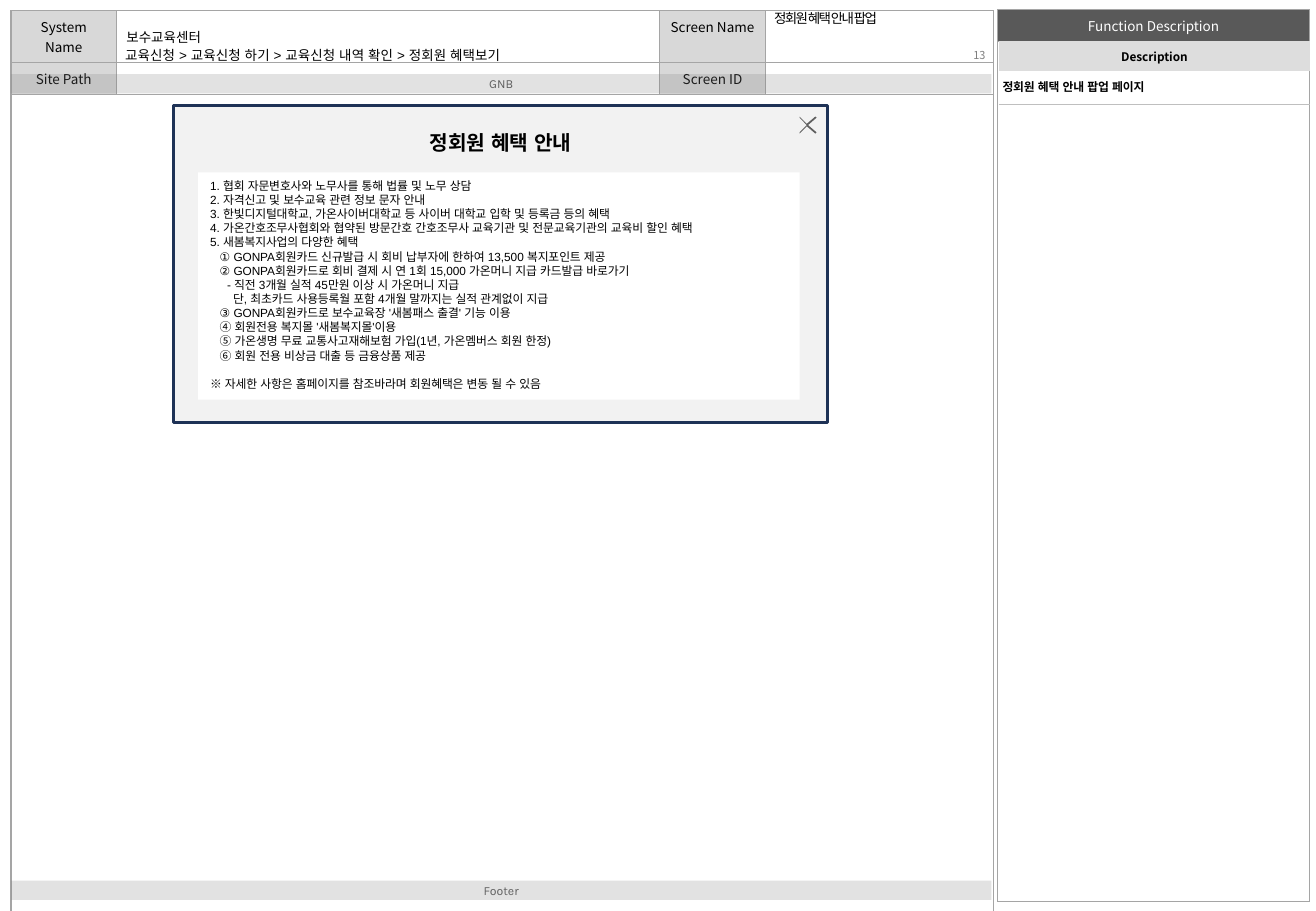
from dataclasses import dataclass

import pptx
import pptx.dml.color
import pptx.enum.shapes
import pptx.enum.text
import pptx.oxml
import pptx.oxml.ns
import pptx.util

PP = pptx.enum.text.PP_ALIGN
MSO = pptx.enum.text.MSO_ANCHOR
RECT = pptx.enum.shapes.MSO_SHAPE.RECTANGLE
COLS, ROWS = 1083, 750
UNIT = pptx.util.Inches(0.01)  # one grid column or row
NOTO, ARIAL, KARLA = "Noto Sans CJK KR", "Arial", "Karla"
COLORS = {
    "black": "000000", "white": "FFFFFF", "dark": "595959", "label": "D8D8D8",
    "subhead": "DDDDDD", "grid": "A5A5A5", "rule": "BFBFBF", "grey": "7F7F7F",
    "mark": "5F5F5F", "panel": "F2F2F2", "navy": "1E3256",
}


@dataclass
class Box:
    """Place and size in grid columns and rows."""
    left: float
    top: float
    width: float
    height: float

    def emu(self) -> list[int]:
        return [round(v * UNIT) for v in (self.left, self.top, self.width, self.height)]


@dataclass
class Style:
    size: float
    font: str = NOTO
    color: str = "black"
    bold: bool = False
    align: PP = PP.LEFT
    anchor: MSO = MSO.MIDDLE
    margins: tuple = (8, 4, 8, 4)
    line_spacing: float = 1.0


@dataclass
class Cell:
    text: str = ""
    fill: str = ""
    style: Style | None = None


@dataclass
class Grid:
    left: float
    top: float
    cols: list[float]
    rows: list[float]
    cells: list[list[Cell]]
    border: str
    sides: str


@dataclass
class Line:
    text: str
    indent: int = 0
    before: float = 0


CELL = (8, 5, 8, 5)
LABEL = Style(8, align=PP.CENTER, margins=CELL)
TOP_LABEL = Style(8, align=PP.CENTER, anchor=MSO.TOP, margins=CELL)
BAND = Style(7.3, KARLA, "mark", align=PP.CENTER)

HEADER = Grid(9, 9, [87, 447, 87, 188], [42, 26, 683], [
    [Cell("System Name", "label", LABEL), Cell("보수교육센터", "", Style(8, margins=CELL)),
     Cell("Screen Name", "label", TOP_LABEL), Cell()],
    [Cell("Site Path", "label", LABEL), Cell(), Cell("Screen ID", "label", TOP_LABEL), Cell()],
    [Cell() for _ in range(4)],
], "grid", "LRTB")
FUNCTION = Grid(821, 8, [257], [26, 708], [
    [Cell("Function Description", "dark", Style(8, color="white", align=PP.CENTER, margins=CELL))],
    [Cell()],
], "grid", "LRTB")
DESCRIPTION = Grid(822, 34, [256], [22, 28], [
    [Cell("Description", "subhead", Style(7, bold=True, align=PP.CENTER, margins=(5, 5, 5, 5)))],
    [Cell("정회원 혜택 안내 팝업 페이지", "", Style(7, ARIAL, bold=True, margins=(3, 0, 0, 0)))],
], "rule", "B")
BENEFITS = [
    Line("1. 협회 자문변호사와 노무사를 통해 법률 및 노무 상담"),
    Line("2. 자격신고 및 보수교육 관련 정보 문자 안내"),
    Line("3. 한빛디지털대학교, 가온사이버대학교 등 사이버 대학교 입학 및 등록금 등의 혜택"),
    Line("4. 가온간호조무사협회와 협약된 방문간호 간호조무사 교육기관 및 전문교육기관의 교육비 할인 혜택"),
    Line("5. 새봄복지사업의 다양한 혜택"),
    Line("① GONPA회원카드 신규발급 시 회비 납부자에 한하여 13,500 복지포인트 제공", 8),
    Line("② GONPA회원카드로 회비 결제 시 연 1회 15,000 가온머니 지급 카드발급 바로가기", 8),
    Line("- 직전 3개월 실적 45만원 이상 시 가온머니 지급", 14),
    Line("단, 최초카드 사용등록월 포함 4개월 말까지는 실적 관계없이 지급", 19),
    Line("③ GONPA회원카드로 보수교육장 '새봄패스 출결' 기능 이용", 8),
    Line("④ 회원전용 복지몰 '새봄복지몰'이용", 8),
    Line("⑤ 가온생명 무료 교통사고재해보험 가입(1년, 가온멤버스 회원 한정)", 8),
    Line("⑥ 회원 전용 비상금 대출 등 금융상품 제공", 8),
    Line("※ 자세한 사항은 홈페이지를 참조바라며 회원혜택은 변동 될 수 있음", before=8.4),
]


def rgb(name: str) -> pptx.dml.color.RGBColor:
    return pptx.dml.color.RGBColor.from_string(COLORS[name])


def add_xml(parent, tag: str, **attrs: str):
    el = pptx.oxml.parse_xml(f"<a:{tag} {pptx.oxml.ns.nsdecls('a')}/>")
    for key, value in attrs.items():
        el.set(key, value)
    parent.append(el)
    return el


def format_text(tf, style: Style) -> None:
    for p in tf.paragraphs:
        p.alignment, p.line_spacing = style.align, style.line_spacing
        for r in p.runs:
            r.font.size, r.font.bold = pptx.util.Pt(style.size), style.bold
            r.font.name = style.font
            r.font.color.rgb = rgb(style.color)
            add_xml(r.font._element, "ea", typeface=style.font)


def set_text(sp, text: str, style: Style, wrap: bool = True) -> None:
    tf = sp.text_frame
    tf.text = text
    tf.word_wrap, tf.auto_size = wrap, pptx.enum.text.MSO_AUTO_SIZE.NONE
    tf.vertical_anchor = style.anchor
    tf.margin_left, tf.margin_top, tf.margin_right, tf.margin_bottom = [
        round(m * UNIT) for m in style.margins]
    format_text(tf, style)


def add_text(slide, box: Box, text: str, style: Style, wrap: bool = True):
    sp = slide.shapes.add_textbox(*box.emu())
    set_text(sp, text, style, wrap)
    return sp


def paint(sp, fill: str, line: str = "") -> None:
    sp.shadow.inherit = False
    sp.fill.solid()
    sp.fill.fore_color.rgb = rgb(fill)
    if line:
        sp.line.color.rgb, sp.line.width = rgb(line), pptx.util.Pt(2)
    else:
        sp.line.fill.background()


def add_rect(slide, box: Box, fill: str, line: str = ""):
    sp = slide.shapes.add_shape(RECT, *box.emu())
    paint(sp, fill, line)
    return sp


def add_band(slide, top: float, text: str) -> None:
    sp = add_rect(slide, Box(9, top, 807, 16), "grey")
    color = sp.fill._xPr.find(".//" + pptx.oxml.ns.qn("a:srgbClr"))
    add_xml(color, "alpha", val="22000")
    set_text(sp, text, BAND)


def set_borders(cell, color: str, sides: str) -> None:
    tcPr = cell._tc.get_or_add_tcPr()
    for i, side in enumerate("LRTB"):
        ln = add_xml(tcPr, "ln" + side, w="9525")
        tcPr.remove(ln)
        tcPr.insert(i, ln)
        if side in sides:
            add_xml(add_xml(ln, "solidFill"), "srgbClr", val=COLORS[color])
        else:
            add_xml(ln, "noFill")


def fill_cell(cell, spec_cell: Cell) -> None:
    if spec_cell.fill:
        cell.fill.solid()
        cell.fill.fore_color.rgb = rgb(spec_cell.fill)
    else:
        cell.fill.background()
    style = spec_cell.style
    if style is None:
        add_xml(cell.text_frame.paragraphs[0]._p, "endParaRPr", sz="800")
        return
    cell.text_frame.text = spec_cell.text
    cell.vertical_anchor = style.anchor
    cell.margin_left, cell.margin_top, cell.margin_right, cell.margin_bottom = [
        round(m * UNIT) for m in style.margins]
    format_text(cell.text_frame, style)


def add_grid(slide, grid: Grid):
    box = Box(grid.left, grid.top, sum(grid.cols), sum(grid.rows))
    table = slide.shapes.add_table(len(grid.rows), len(grid.cols), *box.emu()).table
    table.first_row = table.horz_banding = False
    for tracks, sizes, name in ((table.columns, grid.cols, "width"), (table.rows, grid.rows, "height")):
        for track, size in zip(tracks, sizes):
            setattr(track, name, round(size * UNIT))
    for r, row in enumerate(grid.cells):
        for c, item in enumerate(row):
            fill_cell(table.cell(r, c), item)
            set_borders(table.cell(r, c), grid.border, grid.sides)
    return table


def add_close_mark(slide, x: float, y: float, reach: float = 7, thick: float = 0.7) -> None:
    """Draw a thin X around a centre, turning one arm four times."""
    arm = [(-reach, thick - reach), (thick - reach, -reach), (0, -thick)]
    points = []
    for _ in range(4):
        points += arm
        arm = [(-dy, dx) for dx, dy in arm]
    points = [(x + dx, y + dy) for dx, dy in points]
    builder = slide.shapes.build_freeform(*points[0], scale=UNIT)
    builder.add_line_segments(points[1:])
    paint(builder.convert_to_shape(), "mark")


def add_popup(slide) -> None:
    add_rect(slide, Box(143, 87, 538, 261), "panel", "navy")
    add_close_mark(slide, 664.5, 103)
    add_text(slide, Box(144, 102, 536, 30), "정회원 혜택 안내",
             Style(12, ARIAL, bold=True, align=PP.CENTER))
    sp = add_rect(slide, Box(163, 142, 495, 187), "white")
    set_text(sp, "\n".join(line.text for line in BENEFITS),
             Style(7, ARIAL, anchor=MSO.TOP, margins=(10, 5, 10, 5)))
    for p, line in zip(sp.text_frame.paragraphs, BENEFITS):
        p.space_before = pptx.util.Pt(line.before)
        p._p.get_or_add_pPr().set("marL", str(line.indent * UNIT))


def main() -> None:
    prs = pptx.Presentation()
    prs.slide_width, prs.slide_height = COLS * UNIT, ROWS * UNIT
    slide = prs.slides.add_slide(prs.slide_layouts[5])
    title = slide.shapes.title
    title.left, title.top, title.width, title.height = Box(95, 35, 446, 22).emu()
    set_text(title, "교육신청 > 교육신청 하기 > 교육신청 내역 확인 > 정회원 혜택보기",
             Style(8, ARIAL, line_spacing=0.9))
    add_grid(slide, FUNCTION)
    header = add_grid(slide, HEADER)
    header.cell(2, 0).merge(header.cell(2, 3))
    add_band(slide, 61, "GNB")
    add_band(slide, 725, "Footer")
    add_text(slide, Box(793, 34, 34, 23), "13", Style(6.5, color="grey"))
    name = add_text(slide, Box(629, 10, 188, 23), "정회원 혜택 안내 팝업",
                    Style(8, margins=(8, 4, 8, 16), line_spacing=0.9), wrap=False)
    name.text_frame.paragraphs[0].runs[0].font._element.set("spc", "-100")
    add_popup(slide)
    add_grid(slide, DESCRIPTION)
    prs.save("out.pptx")


if __name__ == "__main__":
    main()
